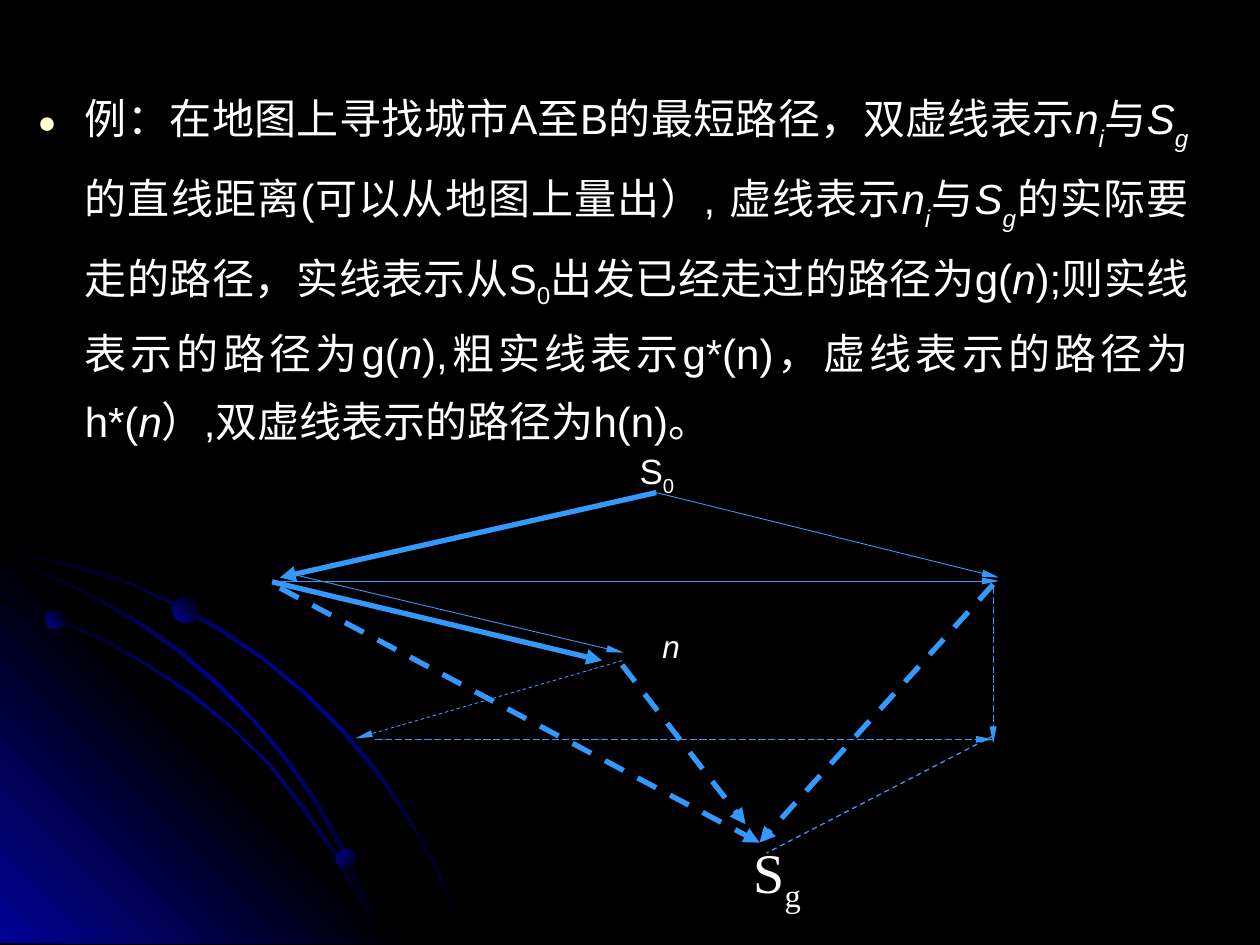
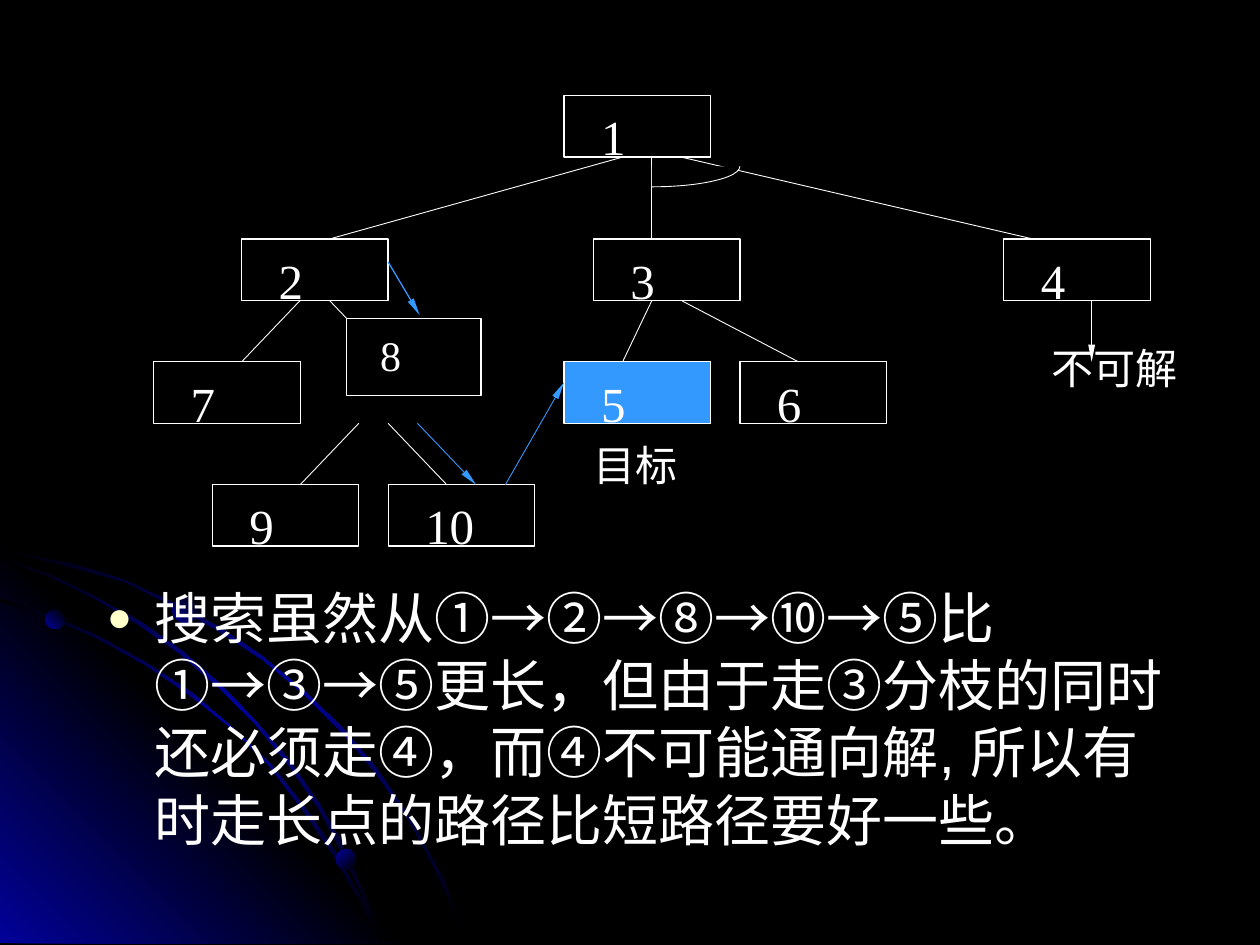
from lxml import etree
from pptx import Presentation
from pptx.dml.color import RGBColor
from pptx.enum import dml, shapes, text
from pptx.oxml import ns
from pptx.util import Pt

BLACK, WHITE, BLUE, NAVY, CREAM = "000000", "FFFFFF", "3399FF", "010199", "FFFFCC"
SANS, SERIF = "Arial", "Times New Roman"
DASH, LONG = dml.MSO_LINE.DASH, dml.MSO_LINE.LONG_DASH
HANG = 27


def hue(code):
    return RGBColor.from_string(code)


def sub(parent, tag, **attrs):
    return etree.SubElement(parent, ns.qn(tag), attrs)


def paint(shape, fill, edge=None, width=0.75):
    shape.shadow.inherit = False
    shape.fill.solid()
    shape.fill.fore_color.rgb = hue(fill)
    if edge:
        shape.line.color.rgb = hue(edge)
        shape.line.width = Pt(width)
    else:
        shape.line.fill.background()


def blend(shape, codes, angle):
    """Fill a shape with evenly spaced gradient stops."""
    paint(shape, BLACK)
    props = shape._element.spPr
    old = props.find(ns.qn("a:solidFill"))
    grad = etree.Element(ns.qn("a:gradFill"), rotWithShape="1")
    stops = sub(grad, "a:gsLst")
    for i, code in enumerate(codes):
        stop = sub(stops, "a:gs", pos=str(i * 100000 // (len(codes) - 1)))
        sub(stop, "a:srgbClr", val=code)
    sub(grad, "a:lin", ang=str(angle * 60000), scaled="0")
    props.replace(old, grad)


def write(par, runs, size, font):
    """Add runs given as (text, italic, baseline percent)."""
    for words, slant, base in runs:
        run = par.add_run()
        run.text = words
        run.font.size = Pt(size)
        run.font.name = font
        run.font.italic = slant
        run.font.color.rgb = hue(WHITE)
        props = run._r.get_or_add_rPr()
        props.set("lang", "zh-CN")
        if base:
            props.set("baseline", str(base * 1000))


def plain(words):
    return [(words, False, 0)]


def label(slide, box, runs, size, font, wrap=True):
    frame = slide.shapes.add_textbox(*map(Pt, box)).text_frame
    frame.word_wrap = wrap
    write(frame.paragraphs[0], runs, size, font)
    return frame


def body(slide, box, runs, size):
    frame = label(slide, box, [], size, SANS)
    par = frame.paragraphs[0]
    props = par._p.get_or_add_pPr()
    props.set("marL", str(Pt(HANG)))
    props.set("indent", str(-Pt(HANG)))
    sub(sub(props, "a:buClr"), "a:srgbClr", val=CREAM)
    sub(props, "a:buSzPct", val="75000")
    sub(props, "a:buFont", typeface=SANS)
    sub(props, "a:buChar", char="●")
    write(par, runs, size, SANS)
    return frame


def link(slide, start, end, code, width=0.5, dash=None, arrow=True):
    line = slide.shapes.add_connector(
        shapes.MSO_CONNECTOR.STRAIGHT, *map(Pt, (*start, *end)))
    line.line.color.rgb = hue(code)
    line.line.width = Pt(width)
    if dash:
        line.line.dash_style = dash
    if arrow:
        wide, long = ("med", "med") if width > 2 else ("sm", "lg")
        sub(line.line._get_or_add_ln(), "a:tailEnd",
            type="triangle", w=wide, len=long)
    sub(line._element.spPr, "a:effectLst")


def outline(slide, left, top, points):
    first, *rest = [(left + x, top + y) for x, y in points]
    pen = slide.shapes.build_freeform(*first, scale=Pt(1))
    pen.add_line_segments(rest, close=True)
    return pen.convert_to_shape()


OUTER = [(0, 6), (20, 10.5), (41, 15), (70.5, 23.5), (98, 36.5), (125, 51),
         (150.5, 68), (174, 87.5), (196, 109), (216, 133), (234, 159.5),
         (244, 177.5), (253.5, 195.5), (260.5, 213.5), (268, 232)]
LOWER = [(0, 35), (29.5, 44.5), (57, 56.5), (84, 71.5), (109.5, 88.5),
         (132.5, 107.5), (155, 129.5), (174, 154), (191.5, 179.5),
         (206, 205.5), (213, 218.5), (218, 232)]
INNER = [(0, 11), (28, 20.5), (54.5, 33.5), (80, 48), (103.5, 64.5),
         (126, 84), (147, 105.5), (165, 127), (183, 153), (193.5, 172),
         (203, 192), (211.5, 211.5), (218, 232)]
BALLS = [(26, 41, 11, 135), (192, 178, 11.5, 225), (98.5, 33.5, 15, 135)]


def orbits(slide, box):
    """Corner glow with three thin arcs and three balls."""
    left, top, _, high = box

    def strip(curve):
        back = [(max(x - 1, 0), min(y + 1.3, high)) for x, y in reversed(curve)]
        blend(outline(slide, left, top, curve + back), (BLACK, NAVY, BLACK), 225)

    strip(OUTER)
    glow = outline(slide, left, top, [(0, 0), (0, high), (high, high)])
    blend(glow, (NAVY, BLACK, NAVY), 135)
    strip(LOWER)
    strip(INNER)
    for x, y, size, angle in BALLS:
        ball = slide.shapes.add_shape(
            shapes.MSO_SHAPE.OVAL, Pt(left + x), Pt(top + y), Pt(size), Pt(size))
        blend(ball, (BLACK, NAVY), angle)


def base(deck):
    slide = deck.slides.add_slide(deck.slide_layouts[6])
    slide.background.fill.solid()
    slide.background.fill.fore_color.rgb = hue(BLACK)
    orbits(slide, (0, 307.4, 268, 232))
    return slide


# start, end, width, dash, arrow
ROUTES = [
    ((0.5, 51.5), (189, 96.5), 3, None, True),
    ((200.5, 96.5), (48, 141), 0.5, DASH, True),
    ((412.5, 139.5), (283, 206.5), 0.75, DASH, False),
    ((220, 0.5), (416, 49), 0.5, None, True),
    ((220, 0.5), (5, 49), 3, None, True),
    ((4, 51), (416, 51), 0.5, None, True),
    ((5, 55), (279, 200.5), 3, DASH, True),
    ((200.5, 99), (271, 190), 3, DASH, True),
    ((412.5, 53), (279, 200.5), 3, DASH, True),
    ((412.5, 54.5), (412.5, 144), 0.5, LONG, True),
    ((59.5, 141.5), (412.5, 141.5), 0.5, LONG, True),
    ((13.5, 47.5), (201.5, 92), 0.5, None, True),
]


def routes(slide, box):
    left, top = box[:2]
    label(slide, (left + 268.4, top + 194.2, 66, 51),
          [("S", False, 0), ("g", False, -25)], 32, SERIF)
    for start, end, width, dash, arrow in ROUTES:
        ends = [(left + x, top + y) for x, y in (start, end)]
        link(slide, *ends, BLUE, width, dash, arrow)
    label(slide, (left + 216.5, top + 74, 24.5, 29), [("n", True, 0)],
          18, SANS, False)


def cities(deck):
    slide = base(deck)
    node = [("n", True, 0), ("i", True, -30)]
    goal = [("S", True, 0), ("g", True, -30)]
    var = [("n", True, 0)]
    runs = [*plain("例：在地图上寻找城市A至B的最短路径，双虚线表示"), *node,
            *plain("与"), *goal,
            *plain("的直线距离(可以从地图上量出）, 虚线表示"), *node,
            *plain("与"), *goal,
            *plain("的实际要走的路径，实线表示从S"), ("0", False, -25),
            *plain("出发已经走过的路径为g("), *var,
            *plain(");则实线表示的路径为g("), *var,
            *plain("),粗实线表示g*(n)，虚线表示的路径为h*("), *var,
            *plain("）,双虚线表示的路径为h(n)。")]
    frame = body(slide, (14.4, 37.4, 671.8, 255.6), runs, 24)
    par = frame.paragraphs[0]
    par.alignment = text.PP_ALIGN.JUSTIFY
    par.line_spacing = 1.35
    start = frame.add_paragraph()
    start._p.get_or_add_pPr().set("marL", str(Pt(344)))
    start.line_spacing = 0.8
    start.space_before = Pt(5)
    write(start, [("S", False, 0), ("0", False, -25)], 20, SANS)
    routes(slide, (155, 281, 416, 207))


# number: column and row on the tree grid
NODES = {1: (14, 0), 2: (3, 7), 3: (15, 7), 4: (29, 7), 7: (0, 13),
         5: (14, 13), 6: (20, 13), 9: (2, 19), 10: (8, 19)}
TWIGS = [((8, 16), (10, 19)), ((16, 3), (6, 7)), ((17, 3), (17, 7)),
         ((18, 3), (30, 7)), ((5, 10), (3, 13)), ((6, 10), (8, 13)),
         ((17, 10), (16, 13)), ((18, 10), (22, 13)), ((7, 16), (5, 19))]
STEPS = [((9, 16), (11, 19), BLUE), ((32, 10), (32, 13), WHITE),
         ((12, 19), (14, 14), BLUE)]


def node(slide, box, name, size, fill=BLACK):
    shape = slide.shapes.add_shape(shapes.MSO_SHAPE.RECTANGLE, *map(Pt, box))
    paint(shape, fill, WHITE)
    frame = shape.text_frame
    frame.word_wrap = True
    frame.vertical_anchor = text.MSO_ANCHOR.TOP
    frame.margin_left = Pt(7.2 + size / 2)
    frame.margin_top = Pt(3.6 + size / 10)
    frame.margin_bottom = 0
    par = frame.paragraphs[0]
    par.alignment = text.PP_ALIGN.LEFT
    write(par, plain(str(name)), size, SERIF)


def tree(slide, box):
    left, top, wide, high = box
    unit, rise = wide / 34, high / 22

    def spot(col, row):
        return left + col * unit, top + row * rise

    for name, cell in NODES.items():
        node(slide, (*spot(*cell), 5 * unit, 3 * rise), name, 28,
             BLUE if name == 5 else BLACK)
    for start, end in TWIGS:
        link(slide, spot(*start), spot(*end), WHITE, arrow=False)
    for start, end, code in STEPS:
        link(slide, spot(*start), spot(*end), code)
    arc = slide.shapes.add_shape(
        shapes.MSO_SHAPE.ARC, *map(Pt, (*spot(14, 2.45), 6 * unit, 2 * rise)))
    arc.adjustments[0], arc.adjustments[1] = 0, 54
    paint(arc, BLACK, WHITE, 0.5)
    node(slide, (left + 110.2, top + 127.5, 77, 44), 8, 24)
    link(slide, (left + 134, top + 95), (left + 152, top + 125.3), BLUE, 0.75)
    label(slide, (left + 244, top + 193, 96, 36), plain("目标"), 24, SERIF)
    label(slide, (left + 506.2, top + 137.5, 90, 36), plain("不可解"), 24, SERIF)


def search(deck):
    slide = base(deck)
    body(slide, (54, 329.8, 623.5, 167),
         plain("搜索虽然从①→②→⑧→⑩→⑤比①→③→⑤更长，但由于走③分枝的同时"
               "还必须走④，而④不可能通向解, 所以有时走长点的路径比短路径要好一些。"), 32)
    tree(slide, (87.8, 54.7, 569.5, 257.4))


def main():
    deck = Presentation()
    deck.slide_width, deck.slide_height = Pt(720), Pt(540)
    cities(deck)
    search(deck)
    deck.save("out.pptx")


if __name__ == "__main__":
    main()
